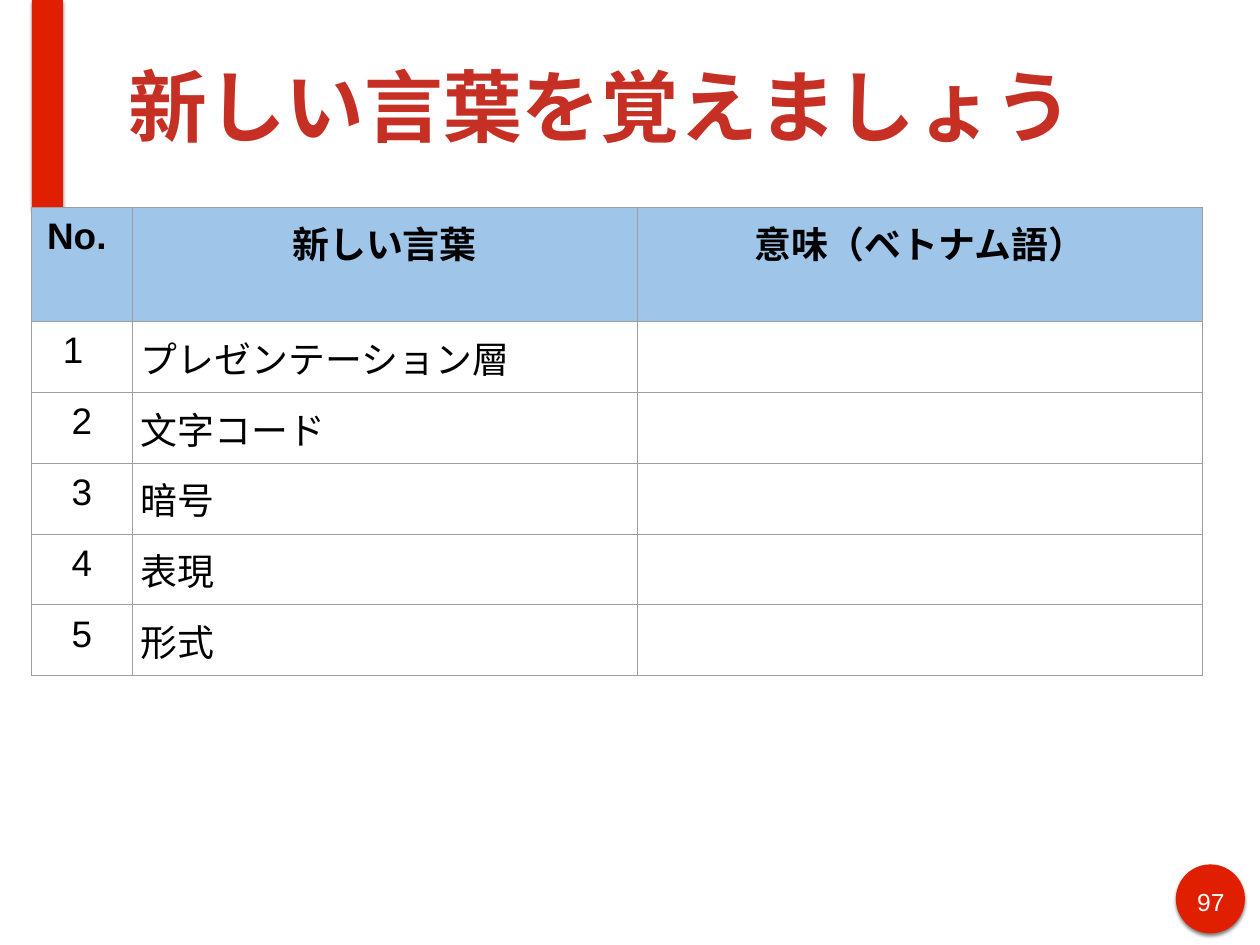
import pptx
import pptx.dml.color
import pptx.enum.shapes
import pptx.enum.text
import pptx.oxml
import pptx.oxml.ns
import pptx.util

Inches = pptx.util.Inches
Pt = pptx.util.Pt
Align = pptx.enum.text.PP_ALIGN
Anchor = pptx.enum.text.MSO_ANCHOR
Shape = pptx.enum.shapes.MSO_SHAPE

COLORS = {
    "accent": "DF1F00",
    "title": "C63024",
    "header": "9FC5E8",
    "border": "9E9E9E",
    "text": "000000",
    "white": "FFFFFF",
}
NAMESPACE = pptx.oxml.ns.nsdecls("a")
WORDS = ["プレゼンテーション層", "文字コード", "暗号", "表現", "形式"]
HEADINGS = ["No. ", "新しい言葉", "意味（ベトナム語）"]
COLUMN_WIDTHS = [1.13, 5.7, 6.38]
HEADER_HEIGHT, ROW_HEIGHT = 1.29, 0.8


def rgb(name):
    return pptx.dml.color.RGBColor.from_string(COLORS[name])


class SlideBuilder:
    font = "Arial"

    def __init__(self, slide):
        self.slide = slide

    def add_text(self, frame, text, size, color="text", bold=False, align=Align.LEFT):
        paragraph = frame.paragraphs[0]
        paragraph.alignment = align
        run = paragraph.add_run()
        run.text = text
        run.font.name = self.font
        run.font.size = Pt(size)
        run.font.bold = bold
        run.font.color.rgb = rgb(color)
        return paragraph

    def accent_shape(self, kind, left, top, width, height):
        """Add a red shape with a soft shadow straight below it."""
        shape = self.slide.shapes.add_shape(
            kind, Inches(left), Inches(top), Inches(width), Inches(height))
        shape.fill.solid()
        shape.fill.fore_color.rgb = rgb("accent")
        shape.line.fill.background()
        shape.shadow.inherit = False
        effects = shape.element.spPr.find(pptx.oxml.ns.qn("a:effectLst"))
        effects.append(pptx.oxml.parse_xml(
            f'<a:outerShdw {NAMESPACE} blurRad="{Pt(3)}" dist="{Pt(2)}" dir="5400000" '
            f'rotWithShape="0"><a:srgbClr val="{COLORS["text"]}"><a:alpha val="50000"/>'
            '</a:srgbClr></a:outerShdw>'))

    def text_box(self, left, top, width, height, text, size, color,
                 bold=False, align=Align.LEFT, anchor=Anchor.TOP):
        frame = self.slide.shapes.add_textbox(
            Inches(left), Inches(top), Inches(width), Inches(height)).text_frame
        frame.word_wrap = True
        frame.vertical_anchor = anchor
        frame.margin_left = frame.margin_right = Inches(0.06)
        frame.margin_top = frame.margin_bottom = Inches(0.06)
        self.add_text(frame, text, size, color, bold, align)

    def style_cell(self, cell, fill=None):
        """Set margins, thin grey borders and the fill of a cell."""
        cell.margin_left = cell.margin_right = Inches(0.1)
        cell.margin_top = cell.margin_bottom = Inches(0.1)
        properties = cell._tc.get_or_add_tcPr()
        for side in "LRTB":
            properties.append(pptx.oxml.parse_xml(
                f'<a:ln{side} {NAMESPACE} w="{Pt(0.75)}"><a:solidFill>'
                f'<a:srgbClr val="{COLORS["border"]}"/></a:solidFill></a:ln{side}>'))
        if fill:
            cell.fill.solid()
            cell.fill.fore_color.rgb = rgb(fill)
        else:
            cell.fill.background()

    def word_table(self, left, top):
        height = HEADER_HEIGHT + ROW_HEIGHT * len(WORDS)
        table = self.slide.shapes.add_table(
            len(WORDS) + 1, len(HEADINGS), Inches(left), Inches(top),
            Inches(sum(COLUMN_WIDTHS)), Inches(height)).table
        table.horz_banding = False
        for column, width in zip(table.columns, COLUMN_WIDTHS):
            column.width = Inches(width)
        for index, row in enumerate(table.rows):
            row.height = Inches(ROW_HEIGHT if index else HEADER_HEIGHT)
            for cell in row.cells:
                self.style_cell(cell, None if index else "header")
        for column, heading in enumerate(HEADINGS):
            self.add_text(table.cell(0, column).text_frame, heading, 30,
                          bold=True, align=Align.CENTER)
        for number, word in enumerate(WORDS, 1):
            align = Align.LEFT if number == 1 else Align.CENTER
            paragraph = self.add_text(table.cell(number, 0).text_frame, str(number), 30,
                                      align=align)
            if number == 1:
                indent = paragraph._p.get_or_add_pPr()
                indent.set("marL", str(Inches(0.5)))
                indent.set("indent", str(Inches(-0.25)))
            self.add_text(table.cell(number, 1).text_frame, word, 30)


def main():
    presentation = pptx.Presentation()
    presentation.slide_width = Inches(14.22)
    presentation.slide_height = Inches(10.67)
    builder = SlideBuilder(presentation.slides.add_slide(presentation.slide_layouts[6]))
    builder.accent_shape(Shape.OVAL, 13.27, 9.76, 0.78, 0.78)
    builder.accent_shape(Shape.RECTANGLE, 0.36, 0, 0.35, 2.36)
    builder.text_box(13.42, 9.95, 0.49, 0.39, "97", 20, "white", align=Align.CENTER)
    builder.word_table(0.36, 2.34)
    builder.text_box(1.39, 0.12, 12.14, 2.12, "新しい言葉を覚えましょう", 64, "title",
                     bold=True, anchor=Anchor.MIDDLE)
    presentation.save("out.pptx")


if __name__ == "__main__":
    main()
